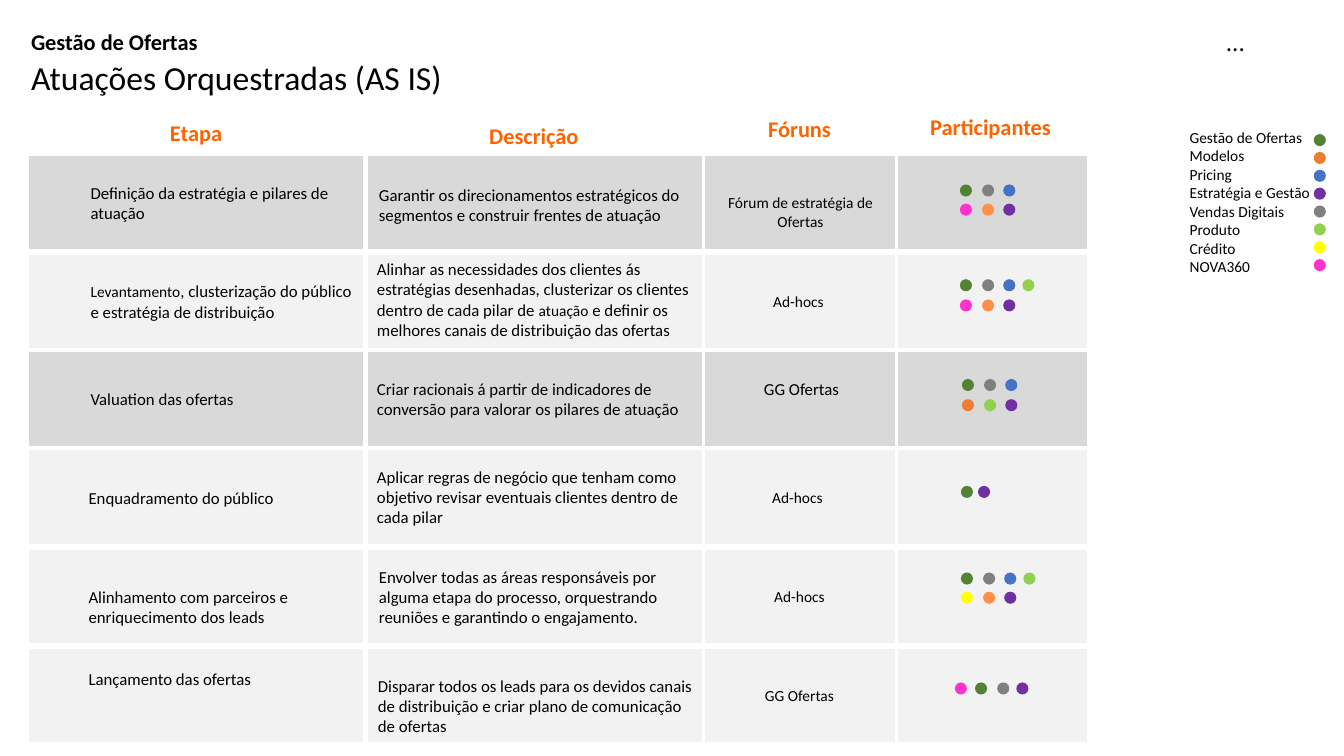
"""Builds the slide of orchestrated offer actions, with stages, forums and participants."""
from pptx import Presentation
from pptx.dml.color import RGBColor
from pptx.enum.shapes import MSO_SHAPE
from pptx.enum.text import MSO_AUTO_SIZE, PP_ALIGN
from pptx.util import Inches, Pt

GREEN, ORANGE, BLUE, PURPLE = "548235", "ED7D31", "4472C4", "7030A0"
GRAY, LIME, YELLOW, PINK, PEACH = "808080", "92D050", "FFFF00", "FF33CC", "FF904B"
DARK_BAND, LIGHT_BAND, WHITE, BLACK, ACCENT = "D9D9D9", "F2F2F2", "FFFFFF", "000000", "FE6300"
CELL_HEIGHT = 0.94
DOT_SIZE = 0.12
LEGEND_TOP, LEGEND_STEP = 1.33, 1.24 / 7

COLUMNS = [(0.28, 3.33), (3.64, 3.33), (6.99, 1.89), (8.9, 1.89)]

HEADINGS = [
    ("Etapa", 0.28, 1.13, 3.33),
    ("Descrição", 3.64, 1.16, 3.31),
    ("Fóruns", 7, 1.09, 1.86),
    ("Participantes", 8.9, 1.07, 1.85),
]

ROWS = [
    (1.54, DARK_BAND), (2.52, LIGHT_BAND), (3.49, DARK_BAND),
    (4.46, LIGHT_BAND), (5.45, LIGHT_BAND), (6.43, LIGHT_BAND),
]

STAGES = [
    (0.8, 1.76, 0.5, [("Definição da estratégia e pilares de atuação", 12)]),
    (0.8, 2.74, 0.5, [("Levantamento", 11),
                      (", clusterização do público e estratégia de distribuição", 12)]),
    (0.8, 3.81, 0.3, [("Valuation das ofertas", 12)]),
    (0.78, 4.79, 0.3, [("Enquadramento do público", 12)]),
    (0.78, 5.77, 0.5, [("Alinhamento com parceiros e enriquecimento dos leads", 12)]),
    (0.78, 6.59, 0.3, [("Lançamento das ofertas", 12)]),
]

DESCRIPTIONS = [
    (3.66, 1.78, 0.5, [("Garantir os direcionamentos estratégicos do segmentos e construir "
                        "frentes de atuação", 12)]),
    (3.64, 2.52, 0.91, [("Alinhar as necessidades dos clientes ás estratégias desenhadas, "
                         "clusterizar os clientes dentro de cada pilar de ", 12),
                        ("atuação", 11),
                        (" e definir os melhores canais de distribuição das ofertas", 12)]),
    (3.64, 3.71, 0.5, [("Criar racionais á partir de indicadores de conversão para valorar "
                        "os pilares de atuação", 12)]),
    (3.64, 4.58, 0.71, [("Aplicar regras de negócio que tenham como objetivo revisar eventuais "
                         "clientes dentro de cada pilar", 12)]),
    (3.66, 5.57, 0.71, [("Envolver todas as áreas responsáveis por alguma etapa do processo, "
                         "orquestrando reuniões e garantindo o engajamento.", 12)]),
    (3.65, 6.65, 0.71, [("Disparar todos os leads para os devidos canais de distribuição e "
                         "criar plano de comunicação de ofertas", 12)]),
]

FORUMS = [
    (7.01, 1.87, 0.47, [("Fórum de estratégia de Ofertas", 11)]),
    (6.99, 2.85, 0.29, [("Ad-hocs", 11)]),
    (7.02, 3.71, 0.3, [("GG Ofertas", 12)]),
    (6.98, 4.79, 0.29, [("Ad-hocs", 11)]),
    (7, 5.78, 0.29, [("Ad-hocs", 11)]),
    (7, 6.76, 0.29, [("GG Ofertas", 11)]),
]

TEXT_COLUMNS = [
    (STAGES, 2.79, PP_ALIGN.LEFT),
    (DESCRIPTIONS, 3.32, PP_ALIGN.LEFT),
    (FORUMS, 1.86, PP_ALIGN.CENTER),
]

WIDE_STEPS = (0, 0.22, 0.43, 0.62)
PARTICIPANTS = [
    (9.52, 1.83, WIDE_STEPS, [GREEN, GRAY, BLUE]),
    (9.52, 2.02, WIDE_STEPS, [PINK, PEACH, PURPLE]),
    (9.52, 2.77, WIDE_STEPS, [GREEN, GRAY, BLUE, LIME]),
    (9.52, 2.97, WIDE_STEPS, [PINK, PEACH, PURPLE]),
    (9.54, 3.76, WIDE_STEPS, [GREEN, GRAY, BLUE]),
    (9.54, 3.96, WIDE_STEPS, [ORANGE, LIME, PURPLE]),
    (9.53, 4.82, (0, 0.17), [GREEN, PURPLE]),
    (9.53, 5.68, WIDE_STEPS, [GREEN, GRAY, BLUE, LIME]),
    (9.53, 5.87, WIDE_STEPS, [YELLOW, PEACH, PURPLE]),
    (9.47, 6.77, (0, 0.2, 0.42, 0.61), [PINK, GREEN, GRAY, PURPLE]),
]

LEGEND = [
    ("Gestão de Ofertas", GREEN), ("Modelos", ORANGE), ("Pricing", BLUE),
    ("Estratégia e Gestão", PURPLE), ("Vendas Digitais", GRAY), ("Produto", LIME),
    ("Crédito", YELLOW), ("NOVA360", PINK),
]


def color(value):
    """Turn a hex string into a colour."""
    return RGBColor.from_string(value)


class SlideBuilder:
    """Holds the font and the current slide and draws its elements."""

    def __init__(self, slide, font_name="Calibri"):
        """Keep the slide and the font."""
        self.slide = slide
        self.font_name = font_name

    def shape(self, kind, left, top, width, height, fill):
        """Draw a filled shape without outline or shadow."""
        shape = self.slide.shapes.add_shape(
            kind, Inches(left), Inches(top), Inches(width), Inches(height))
        shape.shadow.inherit = False
        shape.fill.solid()
        shape.fill.fore_color.rgb = color(fill)
        shape.line.fill.background()
        return shape

    def cell(self, left, top, width, fill):
        """Draw one cell of the grid with a white outline."""
        cell = self.shape(MSO_SHAPE.RECTANGLE, left, top, width, CELL_HEIGHT, fill)
        cell.line.color.rgb = color(WHITE)
        cell.line.width = Pt(1)

    def dot(self, left, top, fill):
        """Draw the dot that stands for a participant."""
        self.shape(MSO_SHAPE.OVAL, left, top, DOT_SIZE, DOT_SIZE, fill)

    def text(self, left, top, width, height, paragraphs, text_color=BLACK,
             bold=False, align=PP_ALIGN.LEFT, wrap=True):
        """Write paragraphs, each a list of pieces with their sizes."""
        box = self.slide.shapes.add_textbox(
            Inches(left), Inches(top), Inches(width), Inches(height))
        frame = box.text_frame
        frame.word_wrap = wrap
        frame.auto_size = MSO_AUTO_SIZE.SHAPE_TO_FIT_TEXT
        for index, pieces in enumerate(paragraphs):
            paragraph = frame.add_paragraph() if index else frame.paragraphs[0]
            paragraph.alignment = align
            paragraph.font.name = self.font_name
            paragraph.font.bold = bold
            paragraph.font.color.rgb = color(text_color)
            paragraph.font.size = Pt(pieces[0][1])
            for content, size in pieces:
                run = paragraph.add_run()
                run.text = content
                if size != pieces[0][1]:
                    run.font.size = Pt(size)


def main():
    """Build and save the slide."""
    presentation = Presentation()
    presentation.slide_width = Inches(13.33)
    presentation.slide_height = Inches(7.5)
    builder = SlideBuilder(presentation.slides.add_slide(presentation.slide_layouts[6]))

    for top, fill in ROWS:
        for left, width in COLUMNS:
            builder.cell(left, top, width, fill)

    builder.text(0.21, 0.52, 4.39, 0.5, [[("Atuações Orquestradas (AS IS)", 24)]], wrap=False)
    builder.text(0.21, 0.23, 1.87, 0.37, [[("Gestão de Ofertas", 16)]], bold=True, wrap=False)
    builder.text(12.06, 0.21, 0.39, 0.4, [[("...", 18)]], wrap=False)

    for heading, left, top, width in HEADINGS:
        builder.text(left, top, width, 0.37, [[(heading, 16)]], ACCENT, True, PP_ALIGN.CENTER)

    for entries, width, align in TEXT_COLUMNS:
        for left, top, height, pieces in entries:
            builder.text(left, top, width, height, [pieces], align=align)

    for left, top, steps, fills in PARTICIPANTS:
        for step, fill in zip(steps, fills):
            builder.dot(left + step, top, fill)

    builder.text(11.7, 1.22, 1.41, 1.58, [[(name, 11)] for name, _ in LEGEND], wrap=False)
    for index, (_, fill) in enumerate(LEGEND):
        builder.dot(13.03, LEGEND_TOP + index * LEGEND_STEP, fill)

    presentation.save("out.pptx")


if __name__ == "__main__":
    main()
